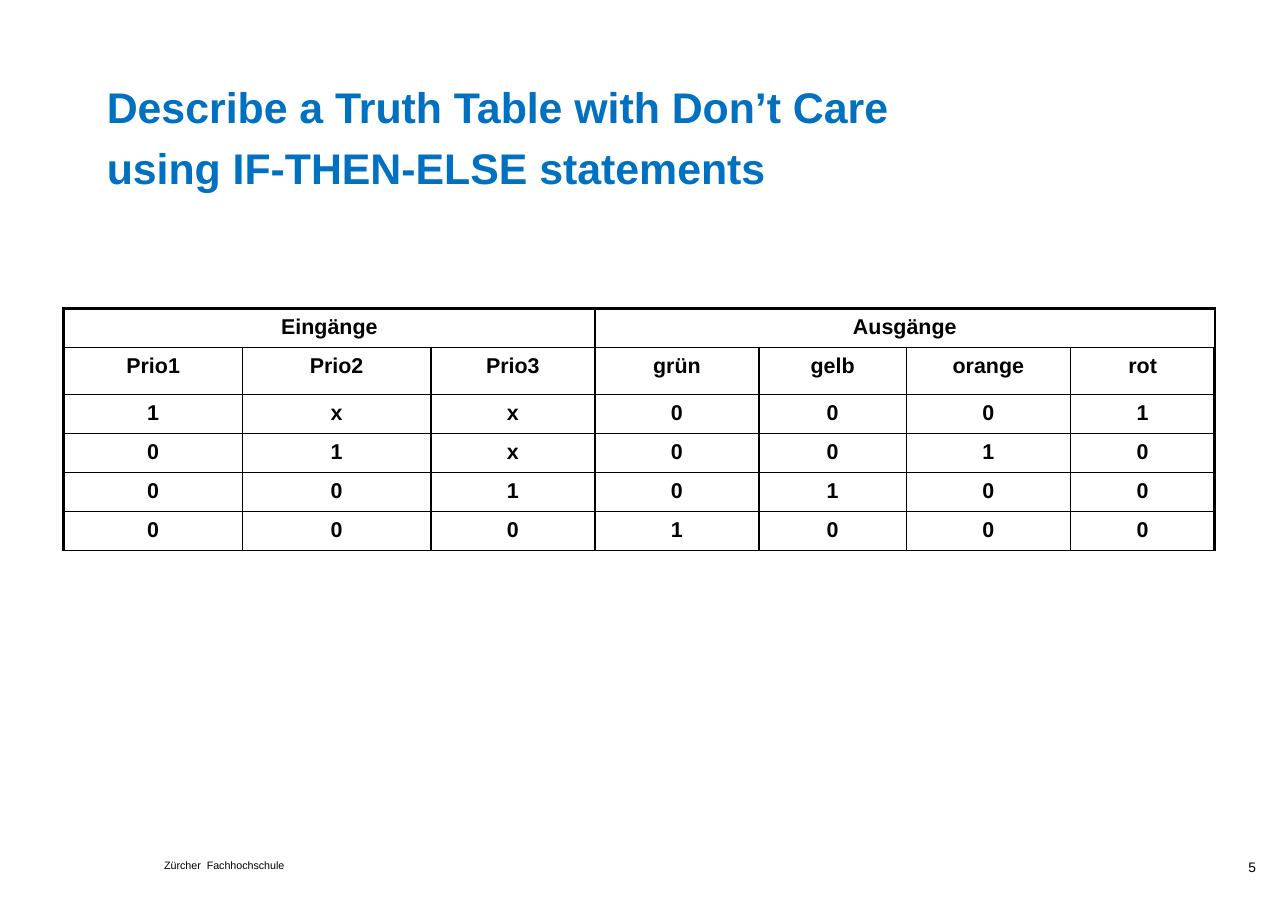
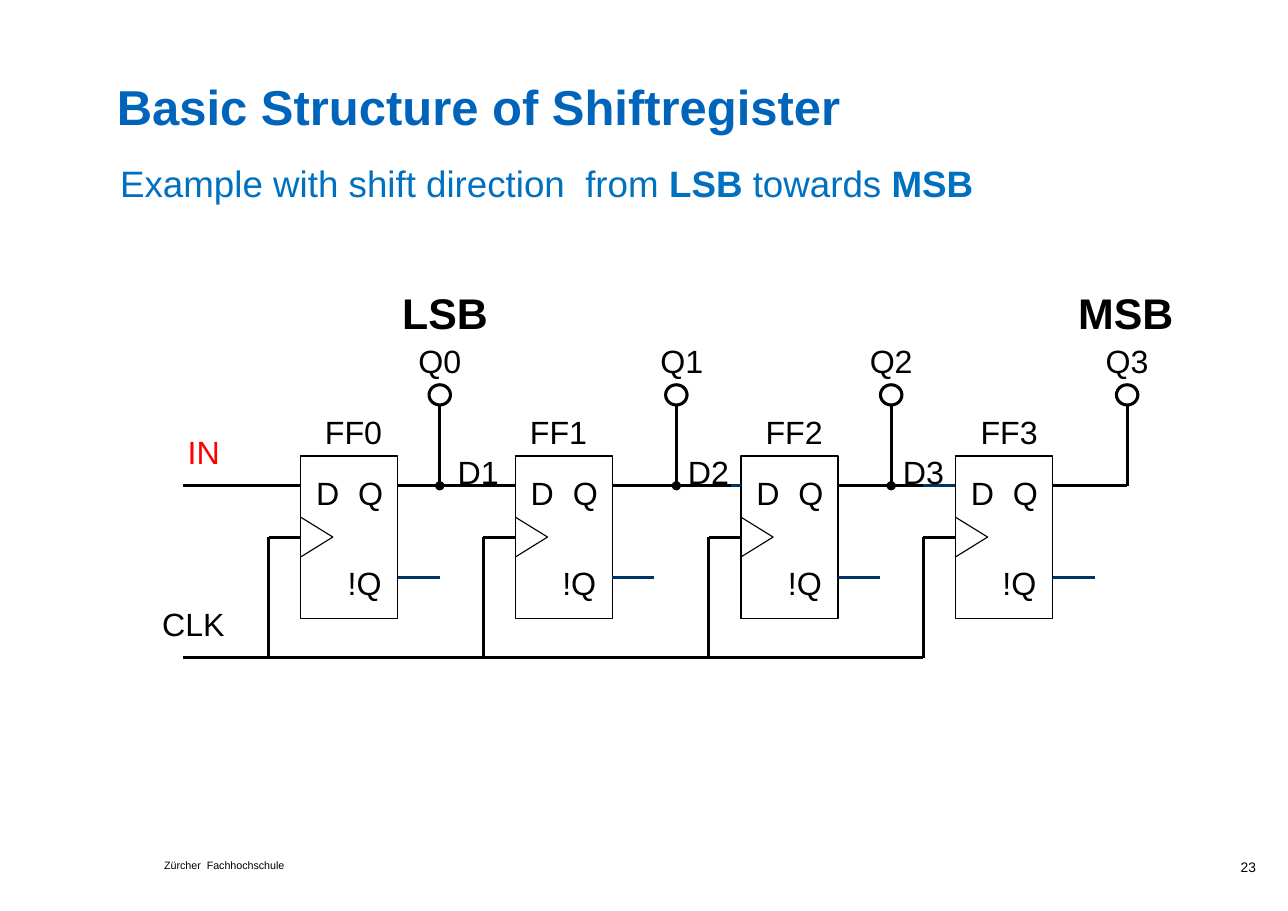
from dataclasses import dataclass
from lxml import etree
from pptx import Presentation
from pptx.dml.color import RGBColor
from pptx.enum.shapes import MSO_CONNECTOR, MSO_SHAPE
from pptx.enum.text import MSO_ANCHOR, MSO_AUTO_SIZE, PP_ALIGN
from pptx.oxml.ns import qn
from pptx.util import Pt

LEFT, MID, RIGHT = PP_ALIGN.LEFT, PP_ALIGN.CENTER, PP_ALIGN.RIGHT
TOP, BOTTOM = MSO_ANCHOR.TOP, MSO_ANCHOR.BOTTOM
RECT, OVAL = MSO_SHAPE.RECTANGLE, MSO_SHAPE.OVAL
LINE = MSO_CONNECTOR.STRAIGHT
FIXED = MSO_AUTO_SIZE.NONE


@dataclass(frozen=True)
class Theme:
    font: str = "Arial"
    ink: str = "000000"
    blue: str = "0070C0"
    deep: str = "0064BA"
    navy: str = "003366"
    red: str = "FF0000"
    foot: float = 7
    page: float = 9
    cell: float = 14
    label: float = 21
    sub: float = 24
    head: float = 28
    main: float = 32
    hair: float = 0.75
    thin: float = 1
    wire: float = 2
    edge: float = 2.25


T = Theme()
SIZE = (841.7, 595.4)
FOOT = "Zürcher  Fachhochschule"

TRUTH = {
    "title": "Describe a Truth Table with Don’t Care \vusing IF-THEN-ELSE statements",
    "page": "5",
    "groups": [("Eingänge", 0, 2), ("Ausgänge", 3, 6)],
    "rows": [
        ["Prio1", "Prio2", "Prio3", "grün", "gelb", "orange", "rot"],
        ["1", "x", "x", "0", "0", "0", "1"],
        ["0", "1", "x", "0", "0", "1", "0"],
        ["0", "0", "1", "0", "1", "0", "0"],
        ["0", "0", "0", "1", "0", "0", "0"],
    ],
    "cols": [116.6, 123.2, 107.2, 107.2, 96.4, 107.2, 94.4],
    "highs": [25.4, 31, 25.4, 25.4, 25.4, 25.4],
}

SHIFT = {
    "title": "Basic Structure of Shiftregister",
    "page": "23",
    "sub": [("Example with shift direction  from ", False), ("LSB", True),
            (" towards ", False), ("MSB", True)],
    "ends": [("LSB", 290.8), ("MSB", 735.7)],
    "flops": [
        {"name": "FF0", "x": 196.5, "mid": 231, "lead": 0},
        {"name": "FF1", "x": 336.8, "mid": 365, "lead": 0},
        {"name": "FF2", "x": 484.2, "mid": 519, "lead": 6.5},
        {"name": "FF3", "x": 624.4, "mid": 659.5, "lead": 21},
    ],
    "taps": [("Q0", 287.4, 287.4), ("Q1", 442, 445.6),
             ("Q2", 582.4, 582.4), ("Q3", 736.6, 736.6)],
    "data": [("D1", 312.5), ("D2", 463), ("D3", 603.4)],
}


def tint(code):
    return RGBColor.from_string(code)


def style(par, size, color, bold=False, align=LEFT):
    par.alignment = align
    for run in par.runs:
        font = run.font
        font.name, font.size, font.bold = T.font, Pt(size), bold
        font.color.rgb = tint(color)


def trim(frame, anchor):
    frame.margin_left = frame.margin_right = 0
    frame.margin_top = frame.margin_bottom = 0
    frame.vertical_anchor = anchor
    frame.auto_size = FIXED


def text(slide, words, box, size, color=T.ink, bold=False, align=LEFT):
    shape = slide.shapes.add_textbox(*map(Pt, box))
    frame = shape.text_frame
    trim(frame, TOP)
    frame.word_wrap = True
    frame.text = words
    style(frame.paragraphs[0], size, color, bold, align)
    return shape


def label(slide, words, mid, top, size=T.label, color=T.ink, bold=False):
    wide = 100
    text(slide, words, (mid - wide / 2, top, wide, size * 1.2),
         size, color, bold, MID)


def wire(slide, x1, y1, x2, y2, color=T.ink, dot=False):
    line = slide.shapes.add_connector(LINE, Pt(x1), Pt(y1), Pt(x2), Pt(y2))
    line.line.color.rgb = tint(color)
    line.line.width = Pt(T.wire)
    if dot:
        etree.SubElement(line.line._get_or_add_ln(), qn("a:headEnd"), type="oval")
    etree.SubElement(line._element.spPr, qn("a:effectLst"))
    return line


def plain(shape, width):
    shape.shadow.inherit = False
    shape.fill.background()
    shape.line.color.rgb = tint(T.ink)
    shape.line.width = Pt(width)
    return shape


def outline(slide, kind, box, width):
    return plain(slide.shapes.add_shape(kind, *map(Pt, box)), width)


def start(prs, layout, data, box, size, color):
    slide = prs.slides.add_slide(layout)
    title = slide.shapes.title
    title.left, title.top, title.width, title.height = map(Pt, box)
    frame = title.text_frame
    trim(frame, BOTTOM)
    frame.text = data["title"]
    par = frame.paragraphs[0]
    par.line_spacing = 1.2 if "\v" in data["title"] else 1.0
    style(par, size, color, True)
    text(slide, data["page"], (725, 561, 95.8, 15), T.page, align=RIGHT)
    return slide


def border(cell, widths):
    props = cell._tc.get_or_add_tcPr()
    for side, width in zip("LRTB", widths):
        line = etree.SubElement(props, qn(f"a:ln{side}"), w=str(Pt(width)))
        fill = etree.SubElement(line, qn("a:solidFill"))
        etree.SubElement(fill, qn("a:srgbClr"), val=T.ink)


def truth(slide):
    cols, highs = TRUTH["cols"], TRUTH["highs"]
    box = (41.8, 201.6, sum(cols), sum(highs))
    table = slide.shapes.add_table(len(highs), len(cols), *map(Pt, box)).table
    table.first_row = table.horz_banding = False
    for col, wide in zip(table.columns, cols):
        col.width = Pt(wide)
    for row, high in zip(table.rows, highs):
        row.height = Pt(high)
    top = [""] * len(cols)
    for name, first, last in TRUTH["groups"]:
        top[first] = name
        table.cell(0, first).merge(table.cell(0, last))
    for r, row in enumerate([top] + TRUTH["rows"]):
        for c, words in enumerate(row):
            cell = table.cell(r, c)
            border(cell, (T.thin if c else T.edge,
                          T.edge if c == len(cols) - 1 else T.thin,
                          T.thin if r else T.edge, T.thin))
            cell.fill.background()
            cell.margin_left = cell.margin_right = Pt(7.9)
            cell.margin_top = cell.margin_bottom = Pt(4.3)
            cell.vertical_anchor = TOP
            cell.text_frame.text = words
            style(cell.text_frame.paragraphs[0], T.cell, T.ink, True, MID)


def shift(slide):
    top, wide, high = 298, 63.4, 106
    data, clock, low, bus = 317.5, top + high / 2, 377.3, 430
    edge, step, stub = 119.5, 21, 27.5
    flops, taps = SHIFT["flops"], SHIFT["taps"]

    last = edge
    for flop in flops:
        x, lead = flop["x"], flop["lead"]
        rect = outline(slide, RECT, (x, top, wide, high), T.hair)
        pen = slide.shapes.build_freeform(Pt(x), Pt(clock - 13))
        pen.add_line_segments([(Pt(x + step), Pt(clock)),
                               (Pt(x), Pt(clock + 13))], close=False)
        plain(pen.convert_to_shape(), T.hair)
        label(slide, "D", x + 17.6, 309.5)
        label(slide, "Q", x + 45.7, 309.5)
        label(slide, "!Q", x + 41.8, 368.5)
        label(slide, flop["name"], flop["mid"], 269.5)
        wire(slide, last, data, x - lead, data)
        if lead:
            wire(slide, x - lead, data, x, data, T.navy)
        wire(slide, x - step, clock, x - step, bus)
        wire(slide, x - step, clock, x, clock).end_connect(rect, 1)
        last = x + wide
        wire(slide, last, low, last + stub, low, T.navy)
    wire(slide, last, data, taps[-1][1], data)
    wire(slide, edge, bus, flops[-1]["x"] - step, bus)

    for tap in taps:
        name, x, mid = tap
        wire(slide, x, data, x, 265, dot=tap != taps[-1])
        outline(slide, OVAL, (x - 7, 251.5, 14, 13.2), T.wire)
        label(slide, name, mid, 223)
    for name, mid in SHIFT["data"]:
        label(slide, name, mid, 295.5)
    label(slide, "IN", 133.2, 282.5, color=T.red)
    label(slide, "CLK", 126.4, 395)
    for name, mid in SHIFT["ends"]:
        label(slide, name, mid, 187.3, T.head, bold=True)

    par = text(slide, "", (78.5, 105, 577, 30), T.sub).text_frame.paragraphs[0]
    for words, _ in SHIFT["sub"]:
        par.add_run().text = words
    style(par, T.sub, T.blue)
    for run, (_, bold) in zip(par.runs, SHIFT["sub"]):
        run.font.bold = bold


def main():
    prs = Presentation()
    prs.slide_width, prs.slide_height = map(Pt, SIZE)
    layout = prs.slide_layouts[5]
    one = start(prs, layout, TRUTH, (69.8, 49, 595, 77.4), T.head, T.blue)
    foot = text(one, FOOT, (107.3, 561, 95, 9), T.foot)
    layout.shapes._spTree.append(foot._element)
    truth(one)
    two = start(prs, layout, SHIFT, (76.3, 49, 640, 39.2), T.main, T.deep)
    shift(two)
    prs.save("out.pptx")


if __name__ == "__main__":
    main()
